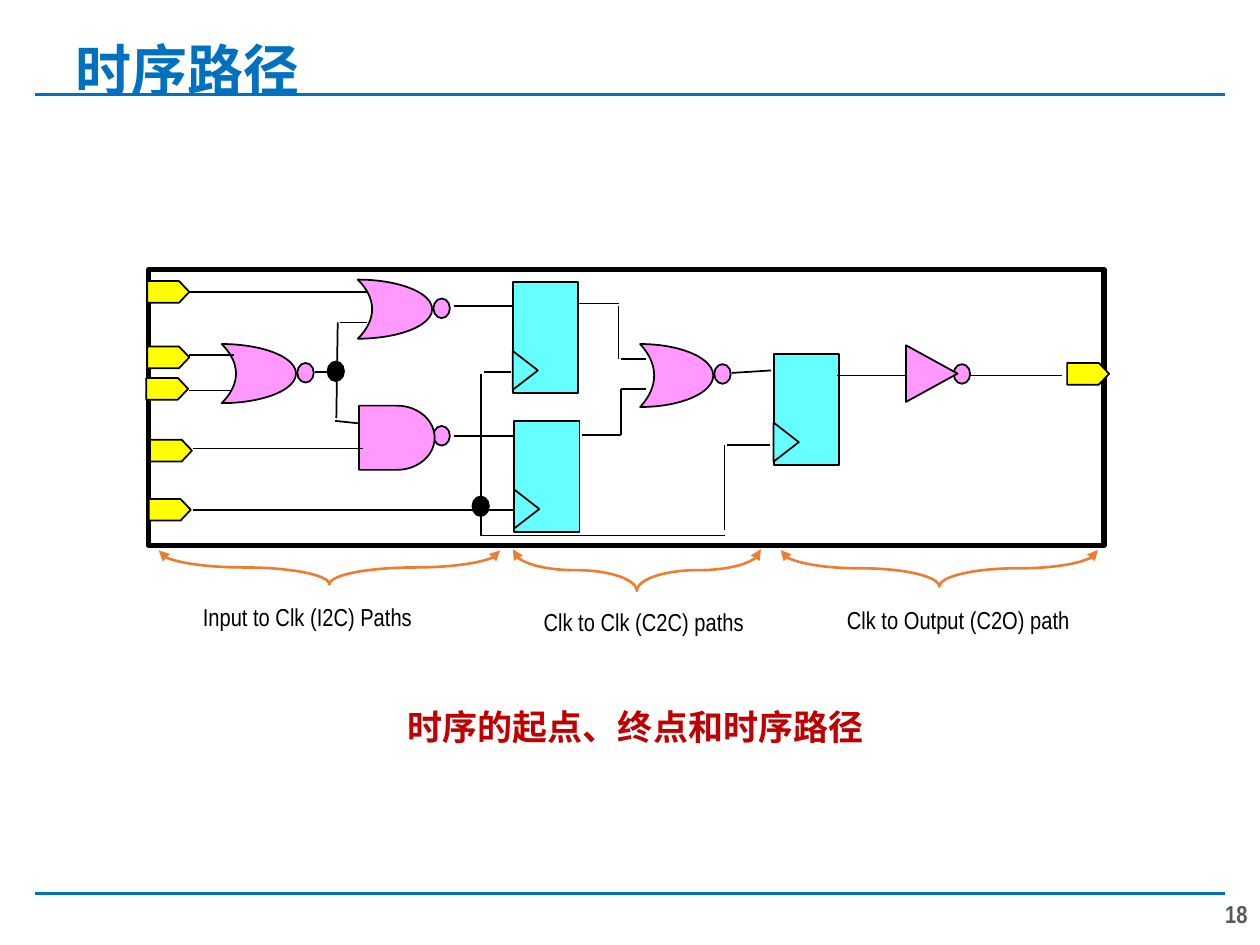
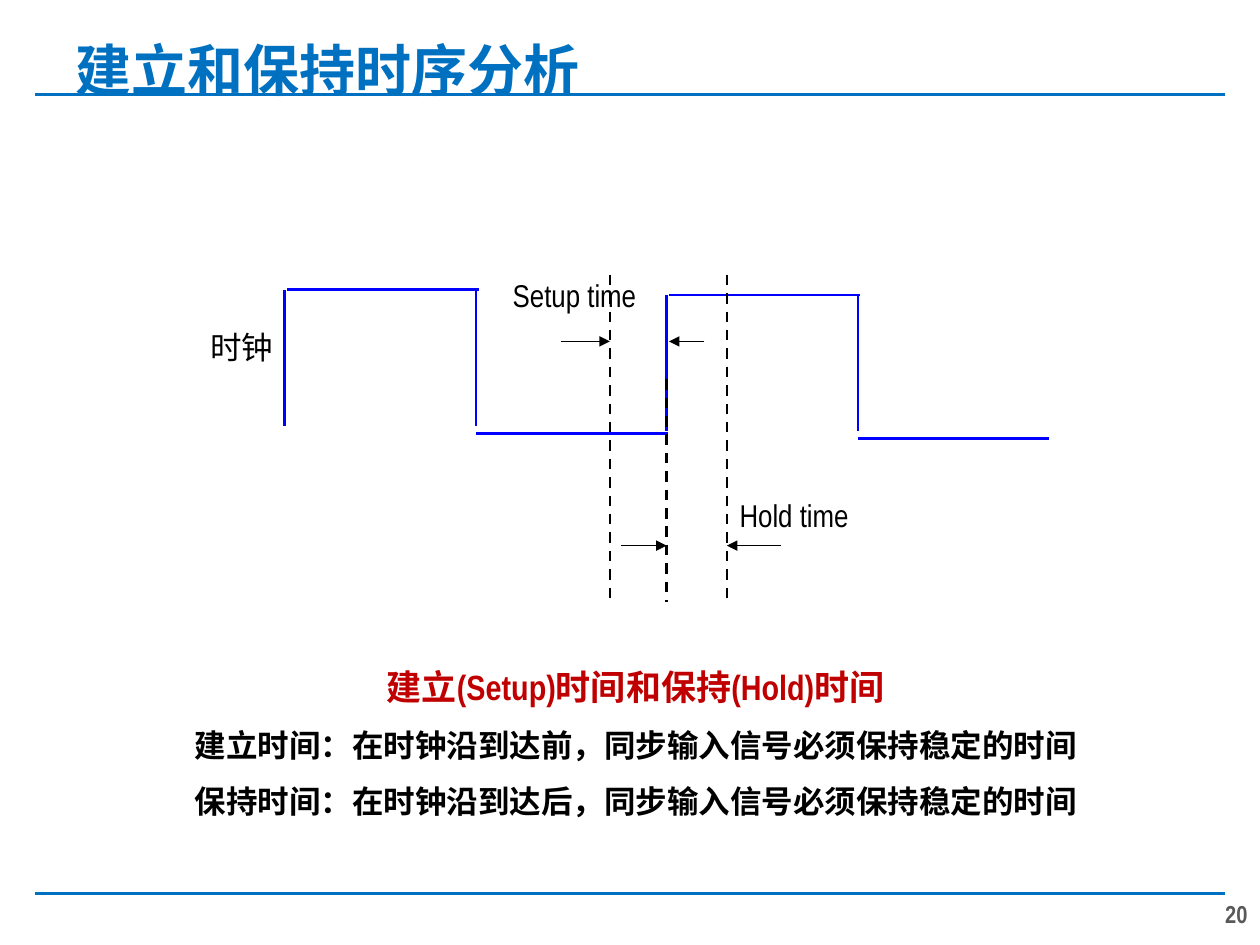
"""Builds two slides on timing paths and on setup and hold timing."""
from dataclasses import dataclass

from lxml.etree import SubElement
from pptx import Presentation
from pptx.dml.color import RGBColor
from pptx.enum.dml import MSO_LINE
from pptx.enum.shapes import MSO_CONNECTOR, MSO_SHAPE as SHAPE
from pptx.enum.text import MSO_ANCHOR as ANCHOR, MSO_AUTO_SIZE as FIT, PP_ALIGN as ALIGN
from pptx.oxml.ns import qn
from pptx.util import Pt


@dataclass(frozen=True)
class Theme:
    font: str = "Arial Narrow"
    blue: str = "0070C0"
    red: str = "C00000"
    grey: str = "595959"
    black: str = "000000"
    white: str = "FFFFFF"
    gate: str = "FF99FF"
    flop: str = "66FFFF"
    port: str = "FFFF00"
    brace: str = "ED7D31"
    clock: str = "0000FF"
    title_size: float = 32
    lead_size: float = 20
    body_size: float = 18
    small_size: float = 14


T = Theme()

PATHS = {
    "title": "时序路径",
    "page": "18",
    "notes_top": 394.6,
    "notes": ["时序的起点、终点和时序路径"],
}
SETUP_HOLD = {
    "title": "建立和保持时序分析",
    "page": "20",
    "notes_top": 372.2,
    "notes": [
        "建立(Setup)时间和保持(Hold)时间",
        "建立时间：在时钟沿到达前，同步输入信号必须保持稳定的时间",
        "保持时间：在时钟沿到达后，同步输入信号必须保持稳定的时间",
    ],
}
RULES = [54, 510.5]

FRAME = (85, 154.1, 545.8, 157.7)
PORT_SIZE = (24, 12.4)
PORTS = [(84.2, 160.6), (84.2, 198), (83.5, 216), (85.7, 251.3), (85, 285.1), (609.8, 207.4)]
BUBBLE_SIZE = (9.4, 11.2)
GATES = [
    (SHAPE.MOON, (126.7, 196.6, 42.5, 33.8), (169.9, 207.4)),
    (SHAPE.MOON, (204.5, 159.8, 42.5, 33.8), (247.7, 170.6)),
    (SHAPE.MOON, (365.8, 196.6, 41.8, 36), (408.2, 208.1)),
    (SHAPE.FLOWCHART_DELAY, (205.2, 231.8, 43.2, 36.7), (247.7, 243.4)),
    (SHAPE.FLOWCHART_EXTRACT, (517.7, 197.3, 29.5, 32.4), (545, 208.1)),
]
FLOP_SIZE = (37.4, 63.4)
FLOPS = [(293, 161.3), (293.8, 240.5), (442.1, 202.3)]
CLOCK_PIN = (0, 39.2, 14.4, 22.3)
WIRES = [
    (107.3, 167, 209.5, 167),
    (108, 203, 133.9, 203),
    (108, 223.2, 132.5, 223.2),
    (110.2, 256.3, 207.4, 256.3),
    (110.2, 291.6, 293.8, 291.6),
    (180, 212.4, 191.5, 212.4),
    (194.4, 184.3, 209.5, 184.3),
    (193, 184.3, 192.2, 239),
    (191.5, 240.5, 204.5, 241.9),
    (259.2, 175, 293.8, 175),
    (259.2, 249.1, 293.8, 249.1),
    (329.8, 173.5, 353.5, 173.5),
    (353.5, 175, 353.5, 205.2),
    (355, 205.2, 369.4, 205.2),
    (332.6, 248.4, 355, 248.4),
    (355, 222.5, 355, 248.4),
    (355, 222.5, 369.4, 222.5),
    (418.3, 213.1, 440.6, 211.7),
    (478.1, 214.6, 517.7, 214.6),
    (554.4, 214.6, 607, 214.6),
    (276.5, 212.4, 292.3, 212.4),
    (275, 213.8, 275, 306),
    (275, 306, 414, 306),
    (414, 254.2, 414, 303.1),
    (415.4, 254.2, 439.9, 254.2),
]
DOTS = [(187.2, 206.6), (270, 283.7)]
SPANS = [
    ("Input to Clk (I2C) Paths", (90.7, 314.6, 195.1, 19.4), 2.506, (175.7, 340.6)),
    ("Clk to Clk (C2C) paths", (293, 313.9, 141.8, 23.8), 1.469, (367.9, 343.4)),
    ("Clk to Output (C2O) path", (446, 314.3, 181.4, 20.9), 2.135, (547.6, 342)),
]
SPAN_LABEL_W = 190

PULSES = [(162.7, 165.6), (380.9, 168.5)]
HALF_PERIOD, EDGE_H, LOW_DROP, CORNER = 109.4, 77.8, 82.1, 1.4
MARKERS = [(348.5, 157), (380.9, 216.7), (415.4, 157)]
MARKER_BOTTOM = 344.2
ARROWS = [
    (320.4, 195.1, 348.5, 195.1),
    (402.5, 195.1, 382.3, 195.1),
    (355, 311.8, 380.9, 311.8),
    (446.4, 311.8, 415.4, 311.8),
]
WAVE_LABELS = [
    ("Setup time", (293, 157.7, 71.3, 21.6)),
    ("Hold time", (422.6, 283.7, 63.4, 21.6)),
    ("时钟", (120.2, 187.2, 36.7, 21.6)),
]


def rgb(color):
    return RGBColor.from_string(color)


def pts(values):
    return [Pt(v) for v in values]


def add_heads(line, *ends):
    for end in ends:
        SubElement(line._get_or_add_ln(), qn(f"a:{end}")).set("type", "triangle")


def add_line(slide, ends, color=T.black, width=1, dash=None, arrow=False):
    cx = slide.shapes.add_connector(MSO_CONNECTOR.STRAIGHT, *pts(ends))
    cx.line.color.rgb = rgb(color)
    cx.line.width = Pt(width)
    if dash:
        cx.line.dash_style = dash
    if arrow:
        add_heads(cx.line, "tailEnd")
    SubElement(cx._element.spPr, qn("a:effectLst"))


def add_part(slide, kind, box, fill=None, color=T.black, width=1, adj=None, turn=0):
    """Draws a shape so that it fills box after a quarter turn, if any."""
    x, y, w, h = box
    if turn:
        x, y, w, h = x + (w - h) / 2, y + (h - w) / 2, h, w
    sp = slide.shapes.add_shape(kind, *pts((x, y, w, h)))
    sp.rotation = turn
    sp.shadow.inherit = False
    if fill:
        sp.fill.solid()
        sp.fill.fore_color.rgb = rgb(fill)
    else:
        sp.fill.background()
    sp.line.color.rgb = rgb(color)
    sp.line.width = Pt(width)
    if adj is not None:
        sp.adjustments[0] = adj
    return sp


def style(p, size, color=T.black, bold=False, align=ALIGN.LEFT):
    p.alignment = align
    for r in p.runs:
        r.font.name = T.font
        r.font.size = Pt(size)
        r.font.bold = bold
        r.font.color.rgb = rgb(color)


def add_label(slide, text, box, size, color=T.black, inset=True, **look):
    tf = slide.shapes.add_textbox(*pts(box)).text_frame
    tf.word_wrap = False
    tf.auto_size = FIT.SHAPE_TO_FIT_TEXT
    if not inset:
        tf.margin_left = tf.margin_right = tf.margin_top = tf.margin_bottom = 0
    tf.text = text
    style(tf.paragraphs[0], size, color, **look)
    return tf


def add_notes(slide, lines, top):
    tf = slide.shapes.add_textbox(*pts((36, top, 648, 508 - top))).text_frame
    tf.word_wrap = True
    for i, line in enumerate(lines):
        p = tf.add_paragraph() if i else tf.paragraphs[0]
        p.text = line
        p.line_spacing = 1.2
        p.space_after = Pt(6)
        p._p.get_or_add_pPr().set("marL", str(Pt(6.5)))
        size, color = (T.body_size, T.black) if i else (T.lead_size, T.red)
        style(p, size, color, True, ALIGN.CENTER)


def start_slide(prs, content):
    slide = prs.slides.add_slide(prs.slide_layouts[5])
    for y in RULES:
        add_line(slide, (20.2, y, 699.8, y), T.blue, 2)
    title = slide.shapes.title
    title.left, title.top, title.width, title.height = pts((36, 5, 403.2, 73.4))
    tf = title.text_frame
    tf.text = content["title"]
    tf.auto_size = FIT.NONE
    tf.vertical_anchor = ANCHOR.MIDDLE
    tf.paragraphs[0].line_spacing = 0.9
    style(tf.paragraphs[0], T.title_size, T.blue, True)
    page = add_label(slide, content["page"], (668.2, 508.3, 51.8, 28.1),
                     T.small_size, T.grey, bold=True, align=ALIGN.RIGHT)
    page.word_wrap = True
    page.auto_size = FIT.NONE
    page.vertical_anchor = ANCHOR.MIDDLE
    add_notes(slide, content["notes"], content["notes_top"])
    return slide


def draw_circuit(slide):
    add_part(slide, SHAPE.RECTANGLE, FRAME, T.white, width=3)
    for port in PORTS:
        add_part(slide, SHAPE.PENTAGON, port + PORT_SIZE, T.port, adj=0.474)
    for kind, box, bubble in GATES:
        add_part(slide, SHAPE.FLOWCHART_CONNECTOR, bubble + BUBBLE_SIZE, T.gate)
        is_moon = kind == SHAPE.MOON
        gate = add_part(slide, kind, box, T.gate, adj=0.808 if is_moon else None,
                        turn=90 if kind == SHAPE.FLOWCHART_EXTRACT else 0)
        if is_moon:
            gate._element.spPr.find(qn("a:xfrm")).set("flipH", "1")
    dx, dy, pin_w, pin_h = CLOCK_PIN
    for x, y in FLOPS:
        add_part(slide, SHAPE.RECTANGLE, (x, y) + FLOP_SIZE, T.flop)
        add_part(slide, SHAPE.FLOWCHART_MERGE, (x + dx, y + dy, pin_w, pin_h), T.flop, turn=270)
    for wire in WIRES:
        add_line(slide, wire)
    for dot in DOTS:
        add_part(slide, SHAPE.FLOWCHART_CONNECTOR, dot + BUBBLE_SIZE, T.black)
    for text, box, adj, (center, top) in SPANS:
        brace = add_part(slide, SHAPE.RIGHT_BRACE, box, color=T.brace, width=1.5, adj=adj, turn=90)
        add_heads(brace.line, "headEnd", "tailEnd")
        add_label(slide, text, (center - SPAN_LABEL_W / 2, top, SPAN_LABEL_W, 28.8),
                  T.small_size, align=ALIGN.CENTER)


def draw_waveform(slide):
    for x, top in PULSES:
        fall, low = x + HALF_PERIOD, top + LOW_DROP
        for edge in (x, fall):
            add_line(slide, (edge, top + EDGE_H, edge, top), T.clock, 1.5)
        add_line(slide, (x + CORNER, top, fall + CORNER, top), T.clock, 1.5)
        add_line(slide, (fall, low, fall + HALF_PERIOD, low), T.clock, 1.5)
    for x, top in MARKERS:
        add_line(slide, (x, top, x, MARKER_BOTTOM), width=1.5, dash=MSO_LINE.DASH)
    for ends in ARROWS:
        add_line(slide, ends, width=0.75, arrow=True)
    for text, box in WAVE_LABELS:
        add_label(slide, text, box, T.body_size, inset=False)


def main():
    prs = Presentation()
    prs.slide_width, prs.slide_height = Pt(720), Pt(540)
    draw_circuit(start_slide(prs, PATHS))
    draw_waveform(start_slide(prs, SETUP_HOLD))
    prs.save("out.pptx")


if __name__ == "__main__":
    main()
